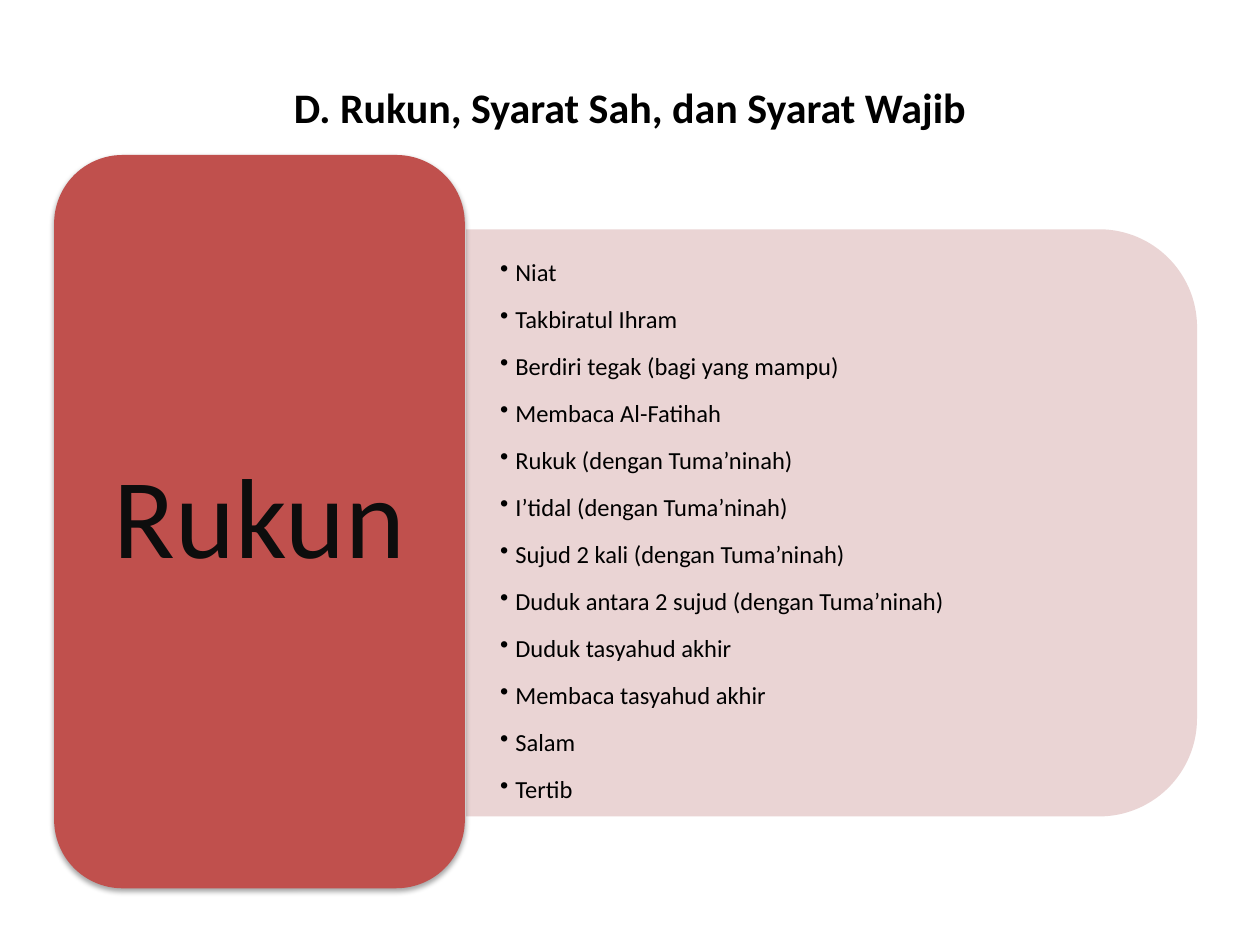
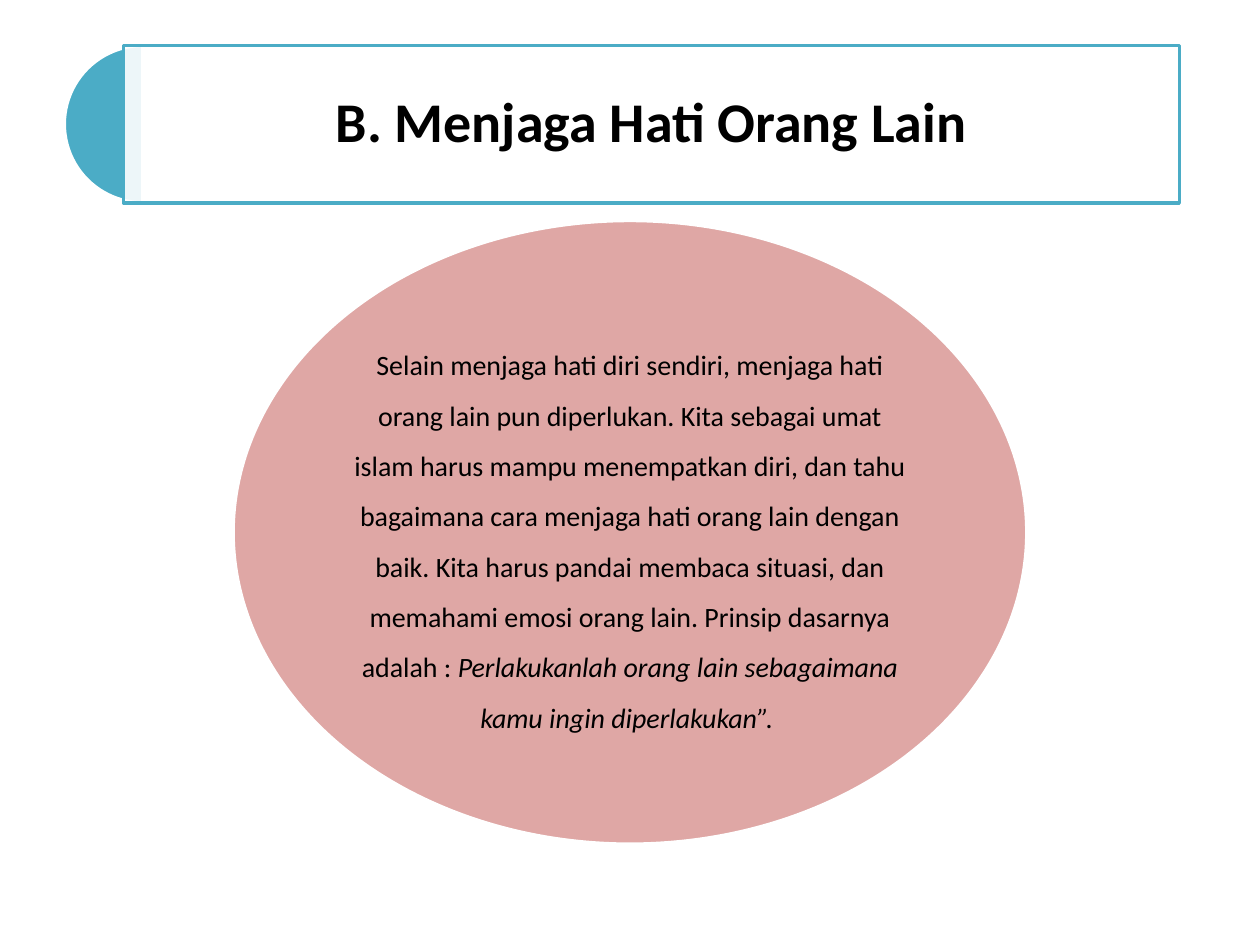
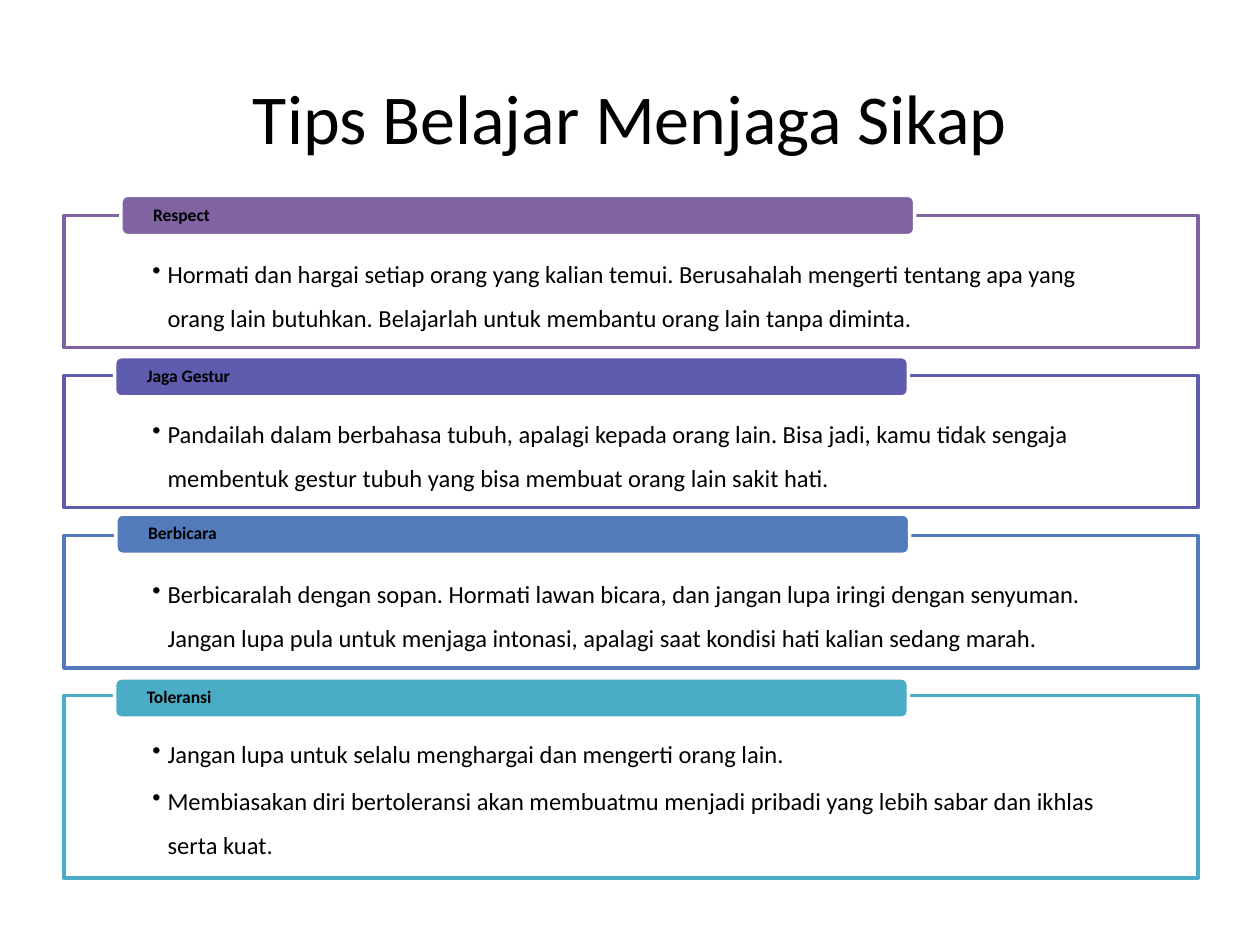
from dataclasses import dataclass
from lxml import etree
from pptx import Presentation
from pptx.dml.color import RGBColor
from pptx.enum.shapes import MSO_SHAPE as SHAPE
from pptx.enum.text import MSO_ANCHOR as ANCHOR, PP_ALIGN as ALIGN
from pptx.oxml.ns import qn
from pptx.util import Inches, Pt


@dataclass(frozen=True)
class Theme:
    font: str = "Calibri"
    ink: str = "000000"
    soft_ink: str = "0D0D0D"
    white: str = "FFFFFF"
    red: str = "C0504D"
    pink: str = "E8D0D0"
    teal: str = "4BACC6"
    purple: str = "8064A2"
    indigo: str = "5F5BAE"
    blue: str = "537ABA"
    line: float = 2
    hero: int = 65
    title: int = 40
    banner: int = 32
    heading: int = 24
    quote: int = 16
    body: int = 14
    tab: int = 10


T = Theme()

PILLARS_TITLE = "D. Rukun, Syarat Sah, dan Syarat Wajib"
PILLARS_LABEL = "Rukun"
PILLARS = [
    "Niat",
    "Takbiratul Ihram",
    "Berdiri tegak (bagi yang mampu)",
    "Membaca Al-Fatihah",
    "Rukuk (dengan Tuma’ninah)",
    "I’tidal (dengan Tuma’ninah)",
    "Sujud 2 kali (dengan Tuma’ninah)",
    "Duduk antara 2 sujud (dengan Tuma’ninah)",
    "Duduk tasyahud akhir",
    "Membaca tasyahud akhir",
    "Salam",
    "Tertib",
]

HEART_TITLE = "B. Menjaga Hati Orang Lain"
HEART_TEXT = (
    "Selain menjaga hati diri sendiri, menjaga hati orang lain pun diperlukan. "
    "Kita sebagai umat islam harus mampu menempatkan diri, dan tahu bagaimana "
    "cara menjaga hati orang lain dengan baik. Kita harus pandai membaca situasi, "
    "dan memahami emosi orang lain. Prinsip dasarnya adalah : "
)
HEART_QUOTE = "Perlakukanlah orang lain sebagaimana kamu ingin diperlakukan”. "

TIPS_TITLE = "Tips Belajar Menjaga Sikap"
TIPS = [
    ("Respect", T.purple, (0.96, 1.55), 1.05, [
        "Hormati dan hargai setiap orang yang kalian temui. Berusahalah mengerti "
        "tentang apa yang orang lain butuhkan. Belajarlah untuk membantu orang "
        "lain tanpa diminta. "]),
    ("Jaga Gestur", T.indigo, (0.91, 2.83), 1.05, [
        "Pandailah dalam berbahasa tubuh, apalagi kepada orang lain. Bisa jadi, "
        "kamu tidak sengaja membentuk gestur tubuh yang bisa membuat orang lain "
        "sakit hati. "]),
    ("Berbicara", T.blue, (0.92, 4.08), 1.05, [
        "Berbicaralah dengan sopan. Hormati lawan bicara, dan jangan lupa iringi "
        "dengan senyuman. Jangan lupa pula untuk menjaga intonasi, apalagi saat "
        "kondisi hati kalian sedang marah. "]),
    ("Toleransi", T.teal, (0.91, 5.38), 1.45, [
        "Jangan lupa untuk selalu menghargai dan mengerti orang lain. ",
        "Membiasakan diri bertoleransi akan membuatmu menjadi pribadi yang lebih "
        "sabar dan ikhlas serta kuat."]),
]


def add_shape(s, kind, at, fill, line=None, opacity=100):
    sp = s.shapes.add_shape(kind, *map(Inches, at))
    sp.shadow.inherit = False
    sp.fill.solid()
    sp.fill.fore_color.rgb = RGBColor.from_string(fill)
    if opacity < 100:
        color = sp.fill._xPr.find(qn("a:solidFill"))[0]
        etree.SubElement(color, qn("a:alpha"), val=str(opacity * 1000))
    if line:
        sp.line.color.rgb = RGBColor.from_string(line)
        sp.line.width = Pt(T.line)
    else:
        sp.line.fill.background()
    return sp


def add_shadow(sp, color, opacity, blur, dist, angle):
    effects = sp._element.spPr.find(qn("a:effectLst"))
    shadow = etree.SubElement(
        effects, qn("a:outerShdw"), blurRad=str(Pt(blur)), dist=str(Pt(dist)),
        dir=str(angle * 60000), rotWithShape="0")
    rgb = etree.SubElement(shadow, qn("a:srgbClr"), val=color)
    etree.SubElement(rgb, qn("a:alpha"), val=str(opacity * 1000))


def add_bullet(p):
    pPr = p._p.get_or_add_pPr()
    pPr.set("marL", str(Inches(0.12)))
    pPr.set("indent", str(-Inches(0.12)))
    etree.SubElement(pPr, qn("a:buChar"), char="•")


def write(sp, texts, size, color=T.ink, bold=False, align=ALIGN.LEFT,
          anchor=ANCHOR.MIDDLE, insets=(0.1, 0.05, 0.1, 0.05), spacing=0.9,
          after=0, bullets=False):
    tf = sp.text_frame
    tf.word_wrap = True
    tf.vertical_anchor = anchor
    tf.margin_left, tf.margin_top, tf.margin_right, tf.margin_bottom = map(Inches, insets)
    tf.text = "\n".join(texts)
    for p in tf.paragraphs:
        p.alignment = align
        p.line_spacing = spacing
        p.space_after = Pt(after)
        if bullets:
            add_bullet(p)
        for r in p.runs:
            style(r, size, color, bold)
    return tf


def style(r, size, color=T.ink, bold=False, italic=False):
    r.font.name = T.font
    r.font.size = Pt(size)
    r.font.bold = bold
    r.font.italic = italic
    r.font.color.rgb = RGBColor.from_string(color)


def add_text(s, at, texts, size, **options):
    return write(s.shapes.add_textbox(*map(Inches, at)), texts, size, **options)


def add_title(s, text, size, bold=False, lift=0.05):
    add_text(s, (0.5, 0.3, 9, 1.25), [text], size, bold=bold, align=ALIGN.CENTER,
             spacing=1.0, insets=(0.1, 0.05, 0.1, lift))


def build_pillars(s):
    add_title(s, PILLARS_TITLE, T.heading, bold=True, lift=0.2)
    panel = add_shape(s, SHAPE.ROUND_2_SAME_RECTANGLE, (4.27, 1.25, 4.66, 5.8),
                      T.pink, opacity=90)
    panel.rotation = 90
    insets = (0.27, 0.14, 0.27, 0.14)
    add_text(s, (3.7, 2.05, 5.58, 4.2), PILLARS, T.body, insets=insets,
             spacing=1.5, after=1.7, bullets=True)
    label = add_shape(s, SHAPE.ROUNDED_RECTANGLE, (0.43, 1.23, 3.26, 5.82), T.red)
    add_shadow(label, T.ink, 35, 3.1, 1.8, 90)
    write(label, [PILLARS_LABEL], T.hero, color=T.soft_ink, align=ALIGN.CENTER,
          insets=insets)


def build_heart(s):
    pie = add_shape(s, SHAPE.PIE, (0.51, 0.36, 1.25, 1.25), T.teal, T.white)
    pie.adjustments[0], pie.adjustments[1] = 54, 162
    banner = add_shape(s, SHAPE.RECTANGLE, (0.98, 0.36, 8.38, 1.25), T.white,
                       T.teal, opacity=90)
    write(banner, [HEART_TITLE], T.banner, bold=True, align=ALIGN.CENTER,
          insets=(0.13,) * 4)
    oval = add_shape(s, SHAPE.OVAL, (1.85, 1.75, 6.3, 4.95), T.red, T.white, opacity=50)
    tf = write(oval, [HEART_TEXT], T.quote, align=ALIGN.CENTER, insets=(0,) * 4,
               spacing=1.5)
    r = tf.paragraphs[0].add_run()
    r.text = HEART_QUOTE
    style(r, T.quote, italic=True)


def build_tips(s):
    add_title(s, TIPS_TITLE, T.title)
    for i, (name, color, tab_at, height, lines) in enumerate(TIPS):
        card = add_shape(s, SHAPE.RECTANGLE, (0.51, 1.71 + 1.27 * i, 9, height),
                         T.white, color, opacity=90)
        write(card, lines, T.body, anchor=ANCHOR.TOP, insets=(0.7, 0.23, 0.7, 0.11),
              spacing=1.5, after=1.7, bullets=True)
        tab = add_shape(s, SHAPE.ROUNDED_RECTANGLE, (*tab_at, 6.3, 0.32), color, T.white)
        write(tab, [name], T.tab, bold=True, insets=(0.24, 0, 0.24, 0))


prs = Presentation()
prs.slide_width, prs.slide_height = Inches(10), Inches(7.5)
for build in (build_pillars, build_heart, build_tips):
    build(prs.slides.add_slide(prs.slide_layouts[6]))
prs.save("out.pptx")
